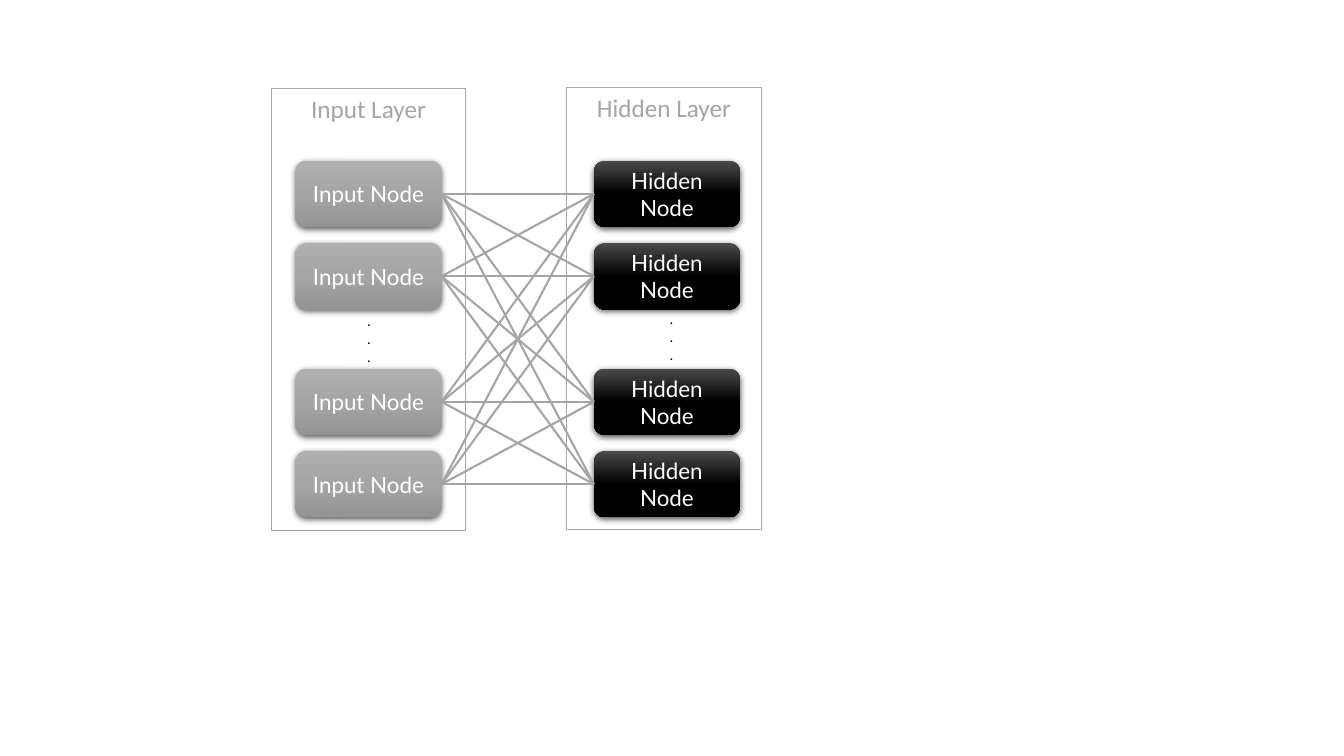
"""Draw an input layer fully connected to a hidden layer."""

from copy import deepcopy
from dataclasses import dataclass
from itertools import product

from lxml.etree import SubElement
from pptx import Presentation
from pptx.dml.color import RGBColor
from pptx.enum.shapes import MSO_CONNECTOR, MSO_SHAPE
from pptx.enum.text import MSO_ANCHOR, PP_ALIGN
from pptx.oxml.ns import qn
from pptx.shapes.autoshape import Shape
from pptx.slide import Slide
from pptx.util import Inches, Pt

SLIDE_WIDTH = Inches(13.33)
SLIDE_HEIGHT = Inches(7.5)

WHITE = RGBColor(0xFF, 0xFF, 0xFF)
BLACK = RGBColor(0x00, 0x00, 0x00)
GRAY = RGBColor(0xA5, 0xA5, 0xA5)
LIGHT_GRAY = RGBColor(0xAF, 0xAF, 0xAF)
DARK_GRAY = RGBColor(0x93, 0x93, 0x93)
CHARCOAL = RGBColor(0x4B, 0x4B, 0x4B)

PANEL_WIDTH, PANEL_HEIGHT = 14.48, 58.5
NODE_WIDTH, NODE_HEIGHT = 10.88, 8.8
DOTS_WIDTH, DOTS_HEIGHT = 1.2, 12.8
NODE_PITCH = 10.9
NODE_TOPS = [pair + NODE_PITCH * row for pair in (21.25, 48.75) for row in range(2)]


@dataclass(frozen=True)
class Box:
    """Hold a place in percent of the slide's width and height."""

    left: float
    top: float
    width: float
    height: float


@dataclass(frozen=True)
class TextStyle:
    """Hold the look of a shape's text."""

    font: str
    size: float
    color: RGBColor
    anchor: MSO_ANCHOR = MSO_ANCHOR.MIDDLE


@dataclass(frozen=True)
class Layer:
    """Describe one layer of the network."""

    name: str
    panel_left: float
    panel_top: float
    node_left: float
    dots_left: float
    dots_top: float
    gradient: tuple[RGBColor, RGBColor, RGBColor]


TITLE_STYLE = TextStyle("Calibri", 18, GRAY, MSO_ANCHOR.TOP)
NODE_STYLE = TextStyle("Lato", 16, WHITE)
DOTS_STYLE = TextStyle("Calibri", 10.5, BLACK)

LAYERS = (
    Layer("Input", 20.18, 11.73, 21.98, 26.86, 38.4, (LIGHT_GRAY, GRAY, DARK_GRAY)),
    Layer("Hidden", 42.16, 11.6, 44.19, 49.36, 38.13, (CHARCOAL, BLACK, BLACK)),
)


def add_box(slide: Slide, preset: MSO_SHAPE, box: Box, text: str, style: TextStyle) -> Shape:
    """Add an unfilled shape with centred text."""
    shape = slide.shapes.add_shape(
        preset,
        int(SLIDE_WIDTH * box.left / 100),
        int(SLIDE_HEIGHT * box.top / 100),
        int(SLIDE_WIDTH * box.width / 100),
        int(SLIDE_HEIGHT * box.height / 100),
    )
    shape.shadow.inherit = False
    shape.fill.background()
    text_frame = shape.text_frame
    text_frame.text = text
    text_frame.word_wrap = True
    text_frame.vertical_anchor = style.anchor
    paragraph = text_frame.paragraphs[0]
    paragraph.alignment = PP_ALIGN.CENTER
    font = paragraph.runs[0].font
    font.name = style.font
    font.size = Pt(style.size)
    font.color.rgb = style.color
    return shape


def outline(shape: Shape, color: RGBColor, width: float) -> None:
    """Give a shape a solid outline."""
    shape.line.color.rgb = color
    shape.line.width = Pt(width)


def fill_gradient(shape: Shape, colors: tuple[RGBColor, ...]) -> None:
    """Fill a shape from top to bottom with evenly spaced colours."""
    shape.fill.gradient()
    shape.fill.gradient_angle = 270
    stop_list = shape.element.spPr.find(qn("a:gradFill")).find(qn("a:gsLst"))
    stop_list.insert(1, deepcopy(stop_list[0]))
    for index, (stop, color) in enumerate(zip(shape.fill.gradient_stops, colors)):
        stop.position = index / (len(colors) - 1)
        stop.color.rgb = color


def add_shadow(shape: Shape) -> None:
    """Cast a soft black shadow below a shape."""
    effects = shape.element.spPr.find(qn("a:effectLst"))
    shadow = SubElement(
        effects, qn("a:outerShdw"), blurRad=str(Pt(4.5)), dist=str(Pt(1.5)),
        dir="5400000", algn="ctr", rotWithShape="0",
    )
    color = SubElement(shadow, qn("a:srgbClr"), val=str(BLACK))
    SubElement(color, qn("a:alpha"), val="63000")


def add_node(slide: Slide, layer: Layer, top: float) -> Shape:
    """Add one node of a layer."""
    box = Box(layer.node_left, top, NODE_WIDTH, NODE_HEIGHT)
    node = add_box(slide, MSO_SHAPE.ROUNDED_RECTANGLE, box, f"{layer.name} Node", NODE_STYLE)
    node.line.fill.background()
    fill_gradient(node, layer.gradient)
    add_shadow(node)
    return node


def add_layer(slide: Slide, layer: Layer) -> list[Shape]:
    """Add a layer's dots, nodes and titled panel, and return the nodes."""
    dots_box = Box(layer.dots_left, layer.dots_top, DOTS_WIDTH, DOTS_HEIGHT)
    dots = add_box(slide, MSO_SHAPE.ROUNDED_RECTANGLE, dots_box, "...", DOTS_STYLE)
    outline(dots, WHITE, 1)
    nodes = [add_node(slide, layer, top) for top in NODE_TOPS]
    panel_box = Box(layer.panel_left, layer.panel_top, PANEL_WIDTH, PANEL_HEIGHT)
    panel = add_box(slide, MSO_SHAPE.RECTANGLE, panel_box, f"{layer.name} Layer", TITLE_STYLE)
    outline(panel, GRAY, 0.75)
    return nodes


def connect(slide: Slide, source: Shape, target: Shape) -> None:
    """Join the right side of one node to the left side of another."""
    connector = slide.shapes.add_connector(MSO_CONNECTOR.STRAIGHT, 0, 0, 0, 0)
    connector.begin_connect(source, 3)
    connector.end_connect(target, 1)
    connector.line.color.rgb = GRAY
    connector.line.width = Pt(1.5)
    SubElement(connector.element.spPr, qn("a:effectLst"))


def main() -> None:
    """Build and save the presentation."""
    presentation = Presentation()
    presentation.slide_width = SLIDE_WIDTH
    presentation.slide_height = SLIDE_HEIGHT
    slide = presentation.slides.add_slide(presentation.slide_layouts[6])
    input_nodes, hidden_nodes = [add_layer(slide, layer) for layer in LAYERS]
    for input_node, hidden_node in product(input_nodes, hidden_nodes):
        connect(slide, input_node, hidden_node)
    presentation.save("out.pptx")


if __name__ == "__main__":
    main()
